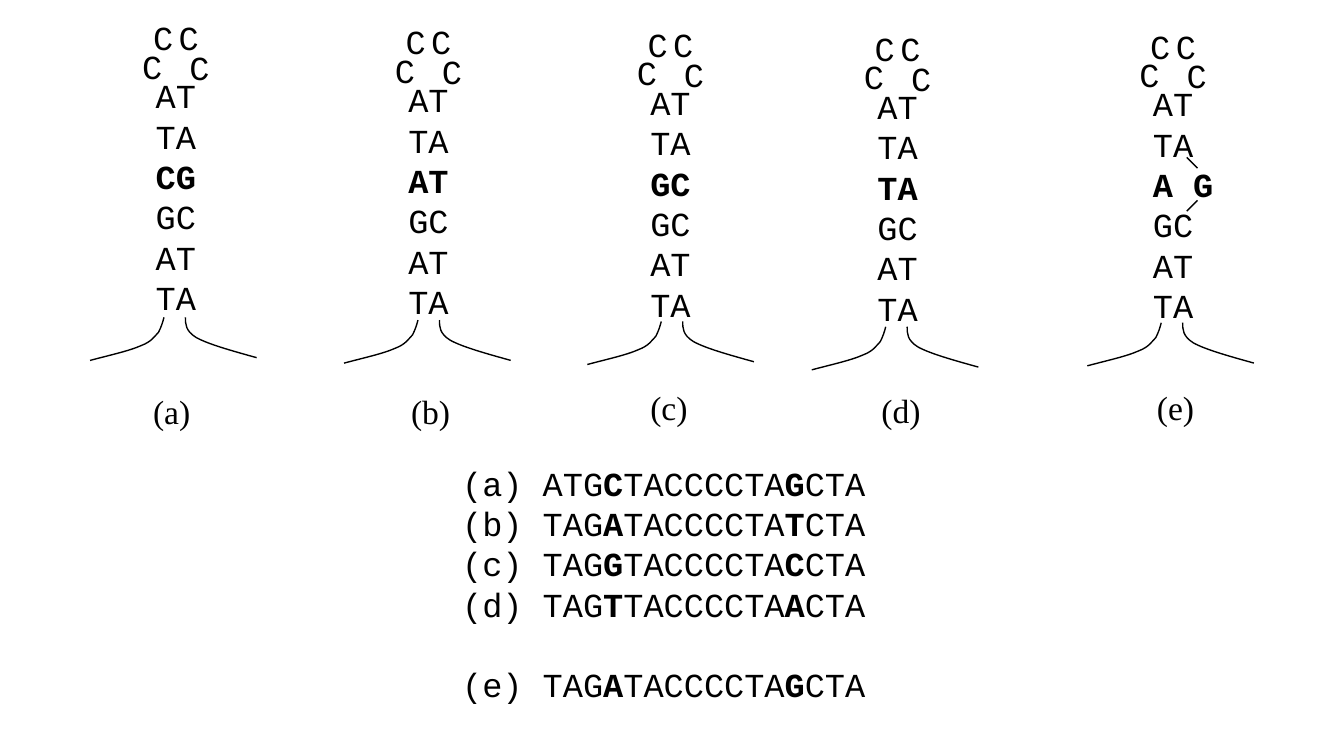
import pptx
import pptx.dml.color
import pptx.enum.shapes
import pptx.enum.text
import pptx.oxml.ns
import pptx.util
from lxml import etree
from pptx.util import Inches, Pt

MONO, SERIF = "Courier New", "Times New Roman"
BLACK = "000000"
LINE_PITCH = 21.6

# label, label position, stem position, start of the left tail, varied pair
HAIRPINS = [
    ("(a)", (1.04, 2.86), (1.06, 0.51), (1.22, 2.36), "CG"),
    ("(b)", (2.96, 2.86), (2.94, 0.54), (3.11, 2.38), "AT"),
    ("(c)", (4.74, 2.83), (4.74, 0.56), (4.92, 2.39), "GC"),
    ("(d)", (6.46, 2.85), (6.43, 0.59), (6.59, 2.43), "TA"),
    ("(e)", (8.51, 2.83), (8.48, 0.57), (8.64, 2.40), "A G"),
]
LOOP_OFFSETS = [(-0.1, -0.22), (-0.02, -0.43), (0.17, -0.43), (0.25, -0.21)]

# Bezier points measured from the start of the left tail
LEFT_TAIL = [(0, 0), (-0.01, 0.04), (-0.02, 0.07), (-0.04, 0.11),
             (-0.07, 0.14), (-0.09, 0.18), (-0.17, 0.21),
             (-0.26, 0.25), (-0.4, 0.28), (-0.55, 0.32)]
RIGHT_TAIL = [(0.16, 0), (0.16, 0.05), (0.16, 0.1), (0.24, 0.15),
              (0.33, 0.2), (0.51, 0.25), (0.69, 0.3)]
MISMATCH_BONDS = [((8.83, 1.17), (8.91, 1.25)), ((8.91, 1.49), (8.83, 1.57))]

# label, start of the strand, left base and right base of the varied pair
SEQUENCES = [
    ("(a)", "ATG", "C", "G"),
    ("(b)", "TAG", "A", "T"),
    ("(c)", "TAG", "G", "C"),
    ("(d)", "TAG", "T", "A"),
    ("(e)", "TAG", "A", "G"),
]


def rgb(value):
    return pptx.dml.color.RGBColor.from_string(value)


def add_text(slide, position, size, lines, font=MONO):
    """Add a text box; each line is a list of (text, bold) runs."""
    box = slide.shapes.add_textbox(*map(Inches, position + size))
    frame = box.text_frame
    frame.word_wrap = False
    frame.auto_size = pptx.enum.text.MSO_AUTO_SIZE.SHAPE_TO_FIT_TEXT
    for index, line in enumerate(lines):
        paragraph = frame.paragraphs[0] if index == 0 else frame.add_paragraph()
        paragraph.font.name = font
        paragraph.font.size = Pt(18)
        paragraph.font.color.rgb = rgb(BLACK)
        for text, bold in line:
            run = paragraph.add_run()
            run.text = text
            if bold:
                run.font.bold = True
    return frame


def style_line(shape):
    shape.line.color.rgb = rgb(BLACK)
    shape.line.width = Pt(0.75)


def bend_segments(outline):
    """Turn every three line segments of a freeform into one cubic Bezier."""
    qn = pptx.oxml.ns.qn
    segments = list(outline._element.iter(qn("a:lnTo")))
    for first in range(0, len(segments), 3):
        curve = etree.Element(qn("a:cubicBezTo"))
        segments[first].addprevious(curve)
        for segment in segments[first:first + 3]:
            curve.append(segment[0])
            segment.getparent().remove(segment)


def add_tail(slide, start, controls):
    points = [(Inches(start[0] + x), Inches(start[1] + y)) for x, y in controls]
    builder = slide.shapes.build_freeform(*points[0])
    builder.add_line_segments(points[1:], close=False)
    tail = builder.convert_to_shape()
    bend_segments(tail)
    tail.fill.background()
    tail.shadow.inherit = False
    style_line(tail)


def add_hairpin(slide, label, label_at, stem_at, tail_at, varied_pair):
    pairs = ["AT", "TA", varied_pair, "GC", "AT", "TA"]
    width = 0.2 + 0.15 * len(varied_pair)
    add_text(slide, stem_at, (width, 2.2),
             [[(pair, row == 2)] for row, pair in enumerate(pairs)])
    for dx, dy in LOOP_OFFSETS:
        add_text(slide, (stem_at[0] + dx, stem_at[1] + dy), (0.35, 0.4), [[("C", False)]])
    for tail in (LEFT_TAIL, RIGHT_TAIL):
        add_tail(slide, tail_at, tail)
    add_text(slide, label_at, (0.49, 0.4), [[(label, False)]], SERIF)


def add_bond(slide, start, end):
    bond = slide.shapes.add_connector(
        pptx.enum.shapes.MSO_CONNECTOR.STRAIGHT, *map(Inches, start + end))
    style_line(bond)
    etree.SubElement(bond._element.spPr, pptx.oxml.ns.qn("a:effectLst"))


def main():
    presentation = pptx.Presentation()
    presentation.slide_width, presentation.slide_height = Inches(10), Inches(5.51)
    slide = presentation.slides.add_slide(presentation.slide_layouts[6])
    for hairpin in HAIRPINS:
        add_hairpin(slide, *hairpin)
    for bond in MISMATCH_BONDS:
        add_bond(slide, *bond)
    strands = [[(f"{label} {start}", False), (left, True), ("TACCCCTA", False),
                (right, True), ("CTA", False)]
               for label, start, left, right in SEQUENCES]
    listing = add_text(slide, (3.34, 3.39), (3.2, 1.9), strands)
    listing.paragraphs[-1].space_before = Pt(LINE_PITCH)
    presentation.save("out.pptx")


if __name__ == "__main__":
    main()
